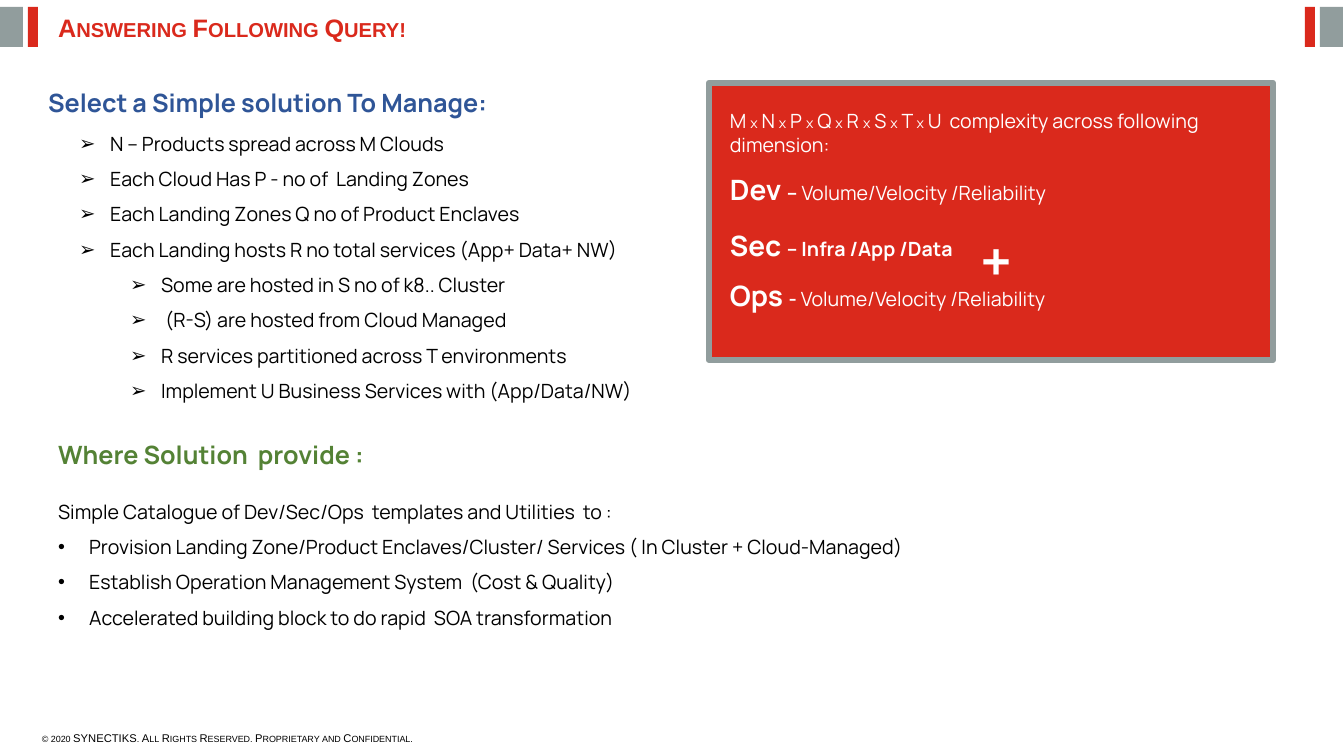
"""Build the query slide: two headed lists, a red complexity panel and corner marks."""
import pptx
import pptx.util
import pptx.dml.color
import pptx.enum.shapes
import pptx.enum.text
import lxml.etree

RED, GREY, BLUE, GREEN, BLACK, WHITE = "DA291C", "919D9D", "2F5597", "548235", "000000", "FFFFFF"
W, H = 1344, 756
SCALE = 914400 / 100.8
MIRROR, INDENT, LEVEL = 1343, 31, 51

TITLE = ("Answering Following Query!", (48, 7, 761, 40))
FOOTER = ("© 2020 SYNECTIKS. All Rights Reserved. Proprietary and Confidential.", (32, 726, 466, 24))
HEADINGS = [
    (1, "Select a Simple solution To Manage:", BLUE, (38, 82, 497, 40)),
    (3, "Where Solution  provide :", GREEN, (48, 434, 343, 40)),
]
LISTS = [
    (2, (69, 115, 635, 291), [
        ("➢", 0, "N – Products spread across M Clouds"),
        ("➢", 0, "Each Cloud Has P - no of  Landing Zones"),
        ("➢", 0, "Each Landing Zones Q no of Product Enclaves"),
        ("➢", 0, "Each Landing hosts R no total services (App+ Data+ NW)"),
        ("➢", 1, "Some are hosted in S no of k8.. Cluster"),
        ("➢", 1, " (R-S) are hosted from Cloud Managed"),
        ("➢", 1, "R services partitioned across T environments"),
        ("➢", 1, "Implement U Business Services with (App/Data/NW)"),
    ]),
    (4, (48, 483, 990, 148), [
        (None, 0, "Simple Catalogue of Dev/Sec/Ops  templates and Utilities  to :"),
        ("•", 0, "Provision Landing Zone/Product Enclaves/Cluster/ Services ( In Cluster + Cloud-Managed)"),
        ("•", 0, "Establish Operation Management System  (Cost & Quality)"),
        ("•", 0, "Accelerated building block to do rapid  SOA transformation"),
    ]),
]
MARKS = [(0, 23, GREY), (28, 10, RED)]
PANEL = (709, 83, 564, 277)
FACTORS = "MNPQRSTU"
FACTORS_END = " complexity across following  dimension:"
FACTORS_BOX = (720, 104, 564, 57)
ROWS = [
    (168, "Dev ", "– ", "Volume/Velocity /Reliability", False),
    (224, "Sec ", "– ", "Infra /App /Data", True),
    (274, "Ops ", "- ", "Volume/Velocity /Reliability", False),
]
PLUS = ("+", (971, 222, 41, 78))


def px(n):
    return pptx.util.Emu(round(n * SCALE))


def color(value):
    return pptx.dml.color.RGBColor.from_string(value)


def place(s, box):
    for name, value in zip(("left", "top", "width", "height"), box):
        setattr(s, name, px(value))


def rect(box, fill, line=None):
    s = slide.shapes.add_shape(pptx.enum.shapes.MSO_SHAPE.RECTANGLE, *map(px, box))
    s.shadow.inherit = False
    s.fill.solid()
    s.fill.fore_color.rgb = color(fill)
    if line:
        s.line.color.rgb = color(line)
        s.line.width = pptx.util.Pt(4.5)
    else:
        s.line.fill.background()


def frame(s):
    tf = s.text_frame
    formats = {"word_wrap": True, "auto_size": pptx.enum.text.MSO_AUTO_SIZE.NONE,
               "vertical_anchor": pptx.enum.text.MSO_ANCHOR.TOP}
    for name, value in formats.items():
        setattr(tf, name, value)
    return tf


def set_paragraph(p, spacing=1.0, bullet=None, level=0):
    formats = {"alignment": pptx.enum.text.PP_ALIGN.LEFT, "line_spacing": spacing,
               "space_before": pptx.util.Pt(0), "level": level}
    pPr = p._p.get_or_add_pPr()
    pPr.set("marL", str(px(INDENT + LEVEL * level) if bullet else 0))
    pPr.set("indent", str(px(-INDENT) if bullet else 0))
    ns = pptx.oxml.ns.qn
    if bullet:
        lxml.etree.SubElement(pPr, ns("a:buFont")).set("typeface", "Arial")
        lxml.etree.SubElement(pPr, ns("a:buChar")).set("char", bullet)
    else:
        lxml.etree.SubElement(pPr, ns("a:buNone"))
    for name, value in formats.items():
        setattr(p, name, value)


def add_run(p, text, size, rgb, bold=False, font="Manrope", caps=False):
    r = p.add_run()
    r.text = text
    for name, value in {"size": pptx.util.Pt(size), "bold": bold, "name": font}.items():
        setattr(r.font, name, value)
    r.font.color.rgb = color(rgb)
    if caps:
        r.font._element.set("cap", "small")


def fill_line(s, runs, **formats):
    p = frame(s).paragraphs[0]
    set_paragraph(p)
    for text, size, rgb, bold in runs:
        add_run(p, text, size, rgb, bold, **formats)


def text_box(box, runs, **formats):
    fill_line(slide.shapes.add_textbox(*map(px, box)), runs, **formats)


prs = pptx.Presentation()
prs.slide_width, prs.slide_height = px(W), px(H)
slide = prs.slides.add_slide(prs.slide_layouts.get_by_name("Comparison"))
holders = {s.placeholder_format.idx: s for s in slide.placeholders}

text_box(FOOTER[1], [(FOOTER[0], 8, BLACK, False)], font="Arial", caps=True)
for x, width, fill in MARKS:
    for left in (x, MIRROR - x - width):
        rect((left, 7, width, 40), fill)

place(holders[0], TITLE[1])
fill_line(holders[0], [(TITLE[0], 18, RED, True)], font="Arial", caps=True)
for idx, text, rgb, box in HEADINGS:
    place(holders[idx], box)
    fill_line(holders[idx], [(text, 18, rgb, True)])
for idx, box, items in LISTS:
    place(holders[idx], box)
    tf = frame(holders[idx])
    for i, (bullet, level, text) in enumerate(items):
        p = tf.add_paragraph() if i else tf.paragraphs[0]
        set_paragraph(p, 1.5, bullet, level)
        add_run(p, text, 14, BLACK)

rect(PANEL, RED, GREY)
factors = []
for i, letter in enumerate(FACTORS):
    if i:
        factors.append(("x", 10, WHITE, False))
    factors.append((f" {letter} " if i else f"{letter} ", 14, WHITE, False))
text_box(FACTORS_BOX, factors + [(FACTORS_END, 14, WHITE, False)])
for top, name, dash, text, bold in ROWS:
    text_box((720, top, 564, 44),
             [(name, 20, WHITE, True), (dash, 14, WHITE, True), (text, 14, WHITE, bold)])
text_box(PLUS[1], [(PLUS[0], 40, WHITE, True)])

prs.save("out.pptx")
